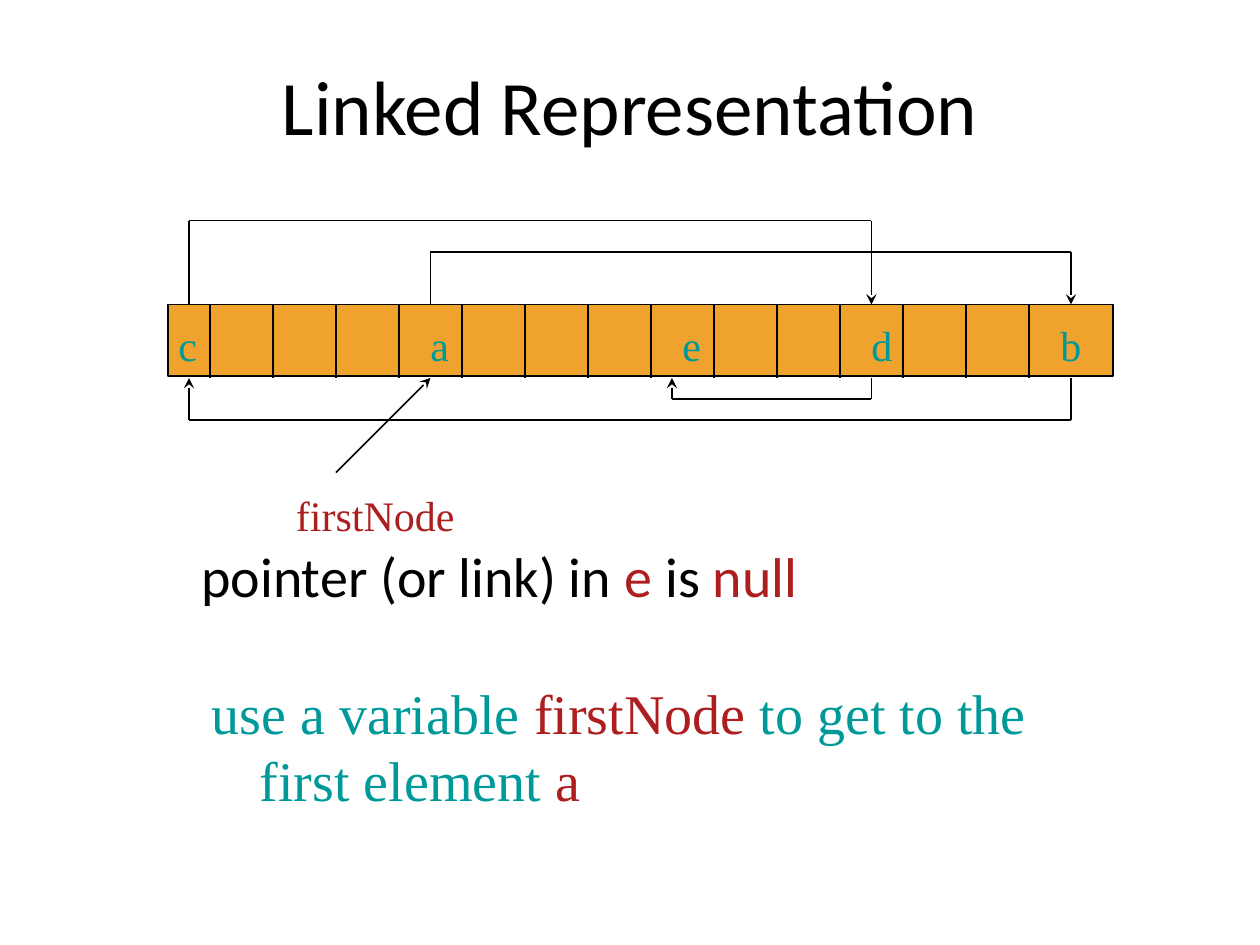
from itertools import pairwise

from lxml.etree import SubElement
from pptx import Presentation
from pptx.dml.color import RGBColor
from pptx.enum.shapes import MSO_CONNECTOR as Connector, MSO_SHAPE as Shape
from pptx.enum.text import MSO_ANCHOR as Anchor, PP_ALIGN as Align
from pptx.oxml.ns import qn
from pptx.util import Inches, Pt

COLORS = {"black": "000000", "orange": "F0A22E", "teal": "009999", "red": "AD1F1F"}
SANS, SERIF = "Calibri", "Times New Roman"
WIDTH, HEIGHT = 10, 7.5
COLUMNS, ROWS = 60, 45


class Board:
    def __init__(self, slide):
        self.slide = slide

    def across(self, columns):
        return Inches(columns * WIDTH / COLUMNS)

    def down(self, rows):
        return Inches(rows * HEIGHT / ROWS)

    def frame(self, left, top, width, height):
        return self.across(left), self.down(top), self.across(width), self.down(height)

    def color(self, name):
        return RGBColor.from_string(COLORS[name])

    def text(self, place, runs, font, size, wrap=True, anchor=Anchor.TOP,
             align=Align.LEFT, hanging=0):
        text_frame = self.slide.shapes.add_textbox(*self.frame(*place)).text_frame
        text_frame.word_wrap = wrap
        text_frame.vertical_anchor = anchor
        paragraph = text_frame.paragraphs[0]
        paragraph.alignment = align
        if hanging:
            properties = paragraph._p.get_or_add_pPr()
            properties.set("marL", str(Inches(hanging)))
            properties.set("indent", str(-Inches(hanging)))
        for words, color in runs:
            run = paragraph.add_run()
            run.text = words
            run.font.name = font
            run.font.size = Pt(size)
            run.font.color.rgb = self.color(color)

    def bar(self, place, fill):
        shape = self.slide.shapes.add_shape(Shape.RECTANGLE, *self.frame(*place))
        shape.shadow.inherit = False
        shape.fill.solid()
        shape.fill.fore_color.rgb = self.color(fill)
        shape.line.color.rgb = self.color("black")
        shape.line.width = Pt(1)

    def line(self, start, end, arrow=False):
        connector = self.slide.shapes.add_connector(
            Connector.STRAIGHT,
            self.across(start[0]), self.down(start[1]),
            self.across(end[0]), self.down(end[1]),
        )
        connector.line.color.rgb = self.color("black")
        connector.line.width = Pt(1)
        if arrow:
            SubElement(connector.line._get_or_add_ln(), qn("a:tailEnd"), type="stealth")
        SubElement(connector._element.spPr, qn("a:effectLst"))

    def link(self, source, target, edge, level):
        corners = [(source, edge), (source, level), (target, level), (target, edge)]
        for start, end in pairwise(corners):
            self.line(start, end, arrow=end == corners[-1])


def main():
    presentation = Presentation()
    presentation.slide_width, presentation.slide_height = Inches(WIDTH), Inches(HEIGHT)
    board = Board(presentation.slides.add_slide(presentation.slide_layouts[6]))

    board.text((4.5, 2, 51, 6), [("Linked Representation", "black")], SANS, 44,
               anchor=Anchor.MIDDLE, align=Align.CENTER)
    board.text((9, 25.5, 42, 11.5),
               [("pointer (or link) in ", "black"), ("e ", "red"),
                ("is ", "black"), ("null", "red")], SANS, 32, hanging=0.38)

    memory_top, memory_bottom = 14.5, 18
    board.bar((8, memory_top, 45, 3.4), "orange")
    for column in range(10, 50, 3):
        board.line((column, memory_top), (column, memory_bottom))

    for letter, column, width in [("c", 7.9, 2.1), ("a", 19.9, 2.1), ("e", 31.9, 2.1),
                                  ("d", 40.9, 2.2), ("b", 49.9, 2.2)]:
        board.text((column, 14.9, width, 3), [(letter, "teal")], SERIF, 24, wrap=False)

    nodes = {"c": 9, "a": 20.5, "e": 32, "d": 41.5, "b": 51}
    for source, target, edge, level in [("a", "b", memory_top, 12),
                                        ("b", "c", memory_bottom, 20),
                                        ("c", "d", memory_top, 10.5),
                                        ("d", "e", memory_bottom, 19)]:
        board.link(nodes[source], nodes[target], edge, level)

    board.text((9.5, 32, 42, 7.5),
               [("use a variable ", "teal"), ("firstNode ", "red"),
                ("to get to the first element ", "teal"), ("a", "red")],
               SERIF, 32, hanging=0.38)
    board.line((16, 22.5), (nodes["a"], memory_bottom), arrow=True)
    board.text((13.5, 23, 11, 3), [("firstNode", "red")], SERIF, 24)

    presentation.save("out.pptx")


if __name__ == "__main__":
    main()
